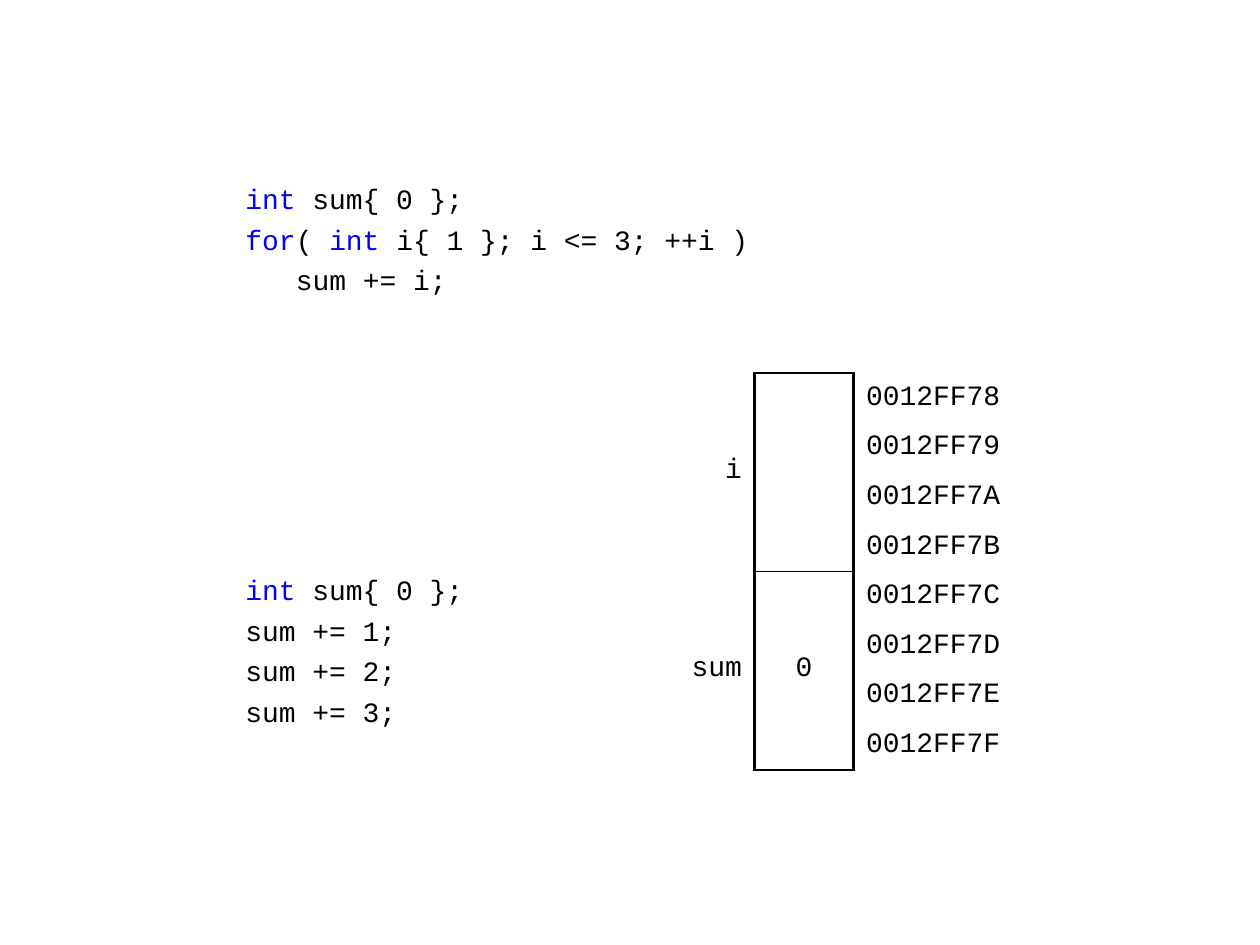
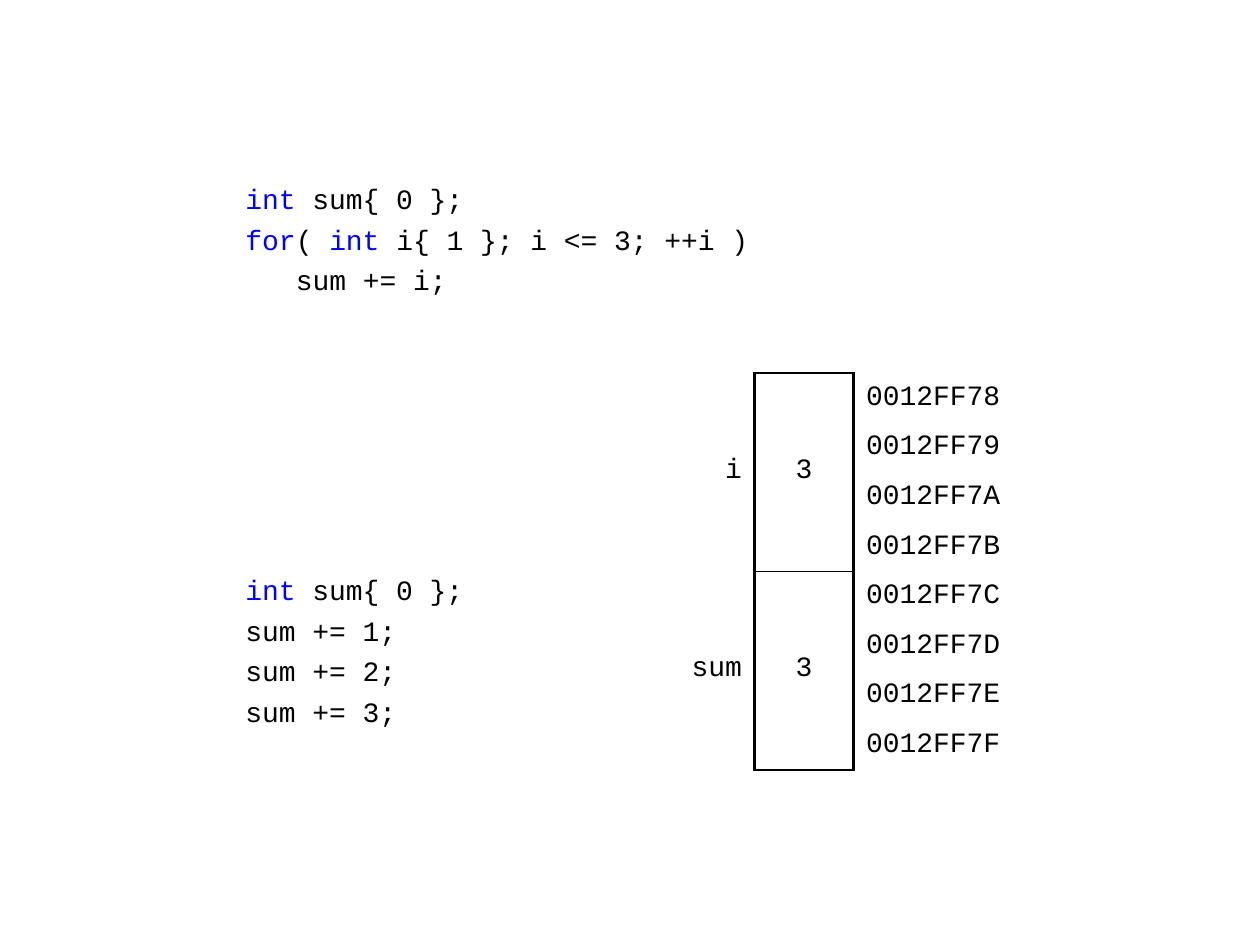
import pptx
import pptx.util
import pptx.dml.color
import pptx.enum.text
import pptx.oxml.ns
import lxml.etree

Pt = pptx.util.Pt
ALIGN = pptx.enum.text.PP_ALIGN
COLORS = {"keyword": "0000FF", "text": "000000", "border": "000000"}
FONT = "Courier New"
NO_STYLE = "{2D5ABB26-0587-4C30-8999-92F81FD0307C}"
LOOP_INDENT = 28.8
ROW_HEIGHT = 28.35
BYTES = 4
FIRST_ADDRESS = 0x0012FF78

code_blocks = [
    (100, [
        [("int", "keyword"), (" sum{ 0 };", "text")],
        [("for", "keyword"), ("( ", "text"), ("int", "keyword"), (" i{ 1 }; i <= 3; ++i )", "text")],
        [("sum += i;", "text")],
    ]),
    (323.4, [
        [("int", "keyword"), (" sum{ 0 };", "text")],
        [("sum += 1;", "text")],
        [("sum += 2;", "text")],
        [("sum += 3;", "text")],
    ]),
]
memory_states = [{"i": "", "sum": "0"}, {"i": "3", "sum": "3"}]


def write_line(paragraph, pieces, alignment=ALIGN.LEFT):
    paragraph.alignment = alignment
    paragraph.space_before = Pt(4.2)
    for text, color in pieces:
        run = paragraph.add_run()
        run.text = text
        run.font.name = FONT
        run.font.size = Pt(16)
        run.font.color.rgb = pptx.dml.color.RGBColor.from_string(COLORS[color])


def draw_borders(cell, widths):
    properties = cell._tc.get_or_add_tcPr()
    for position, (side, width) in enumerate(widths.items()):
        line = lxml.etree.Element(pptx.oxml.ns.qn("a:ln" + side), w=str(Pt(width)))
        fill = lxml.etree.SubElement(line, pptx.oxml.ns.qn("a:solidFill"))
        lxml.etree.SubElement(fill, pptx.oxml.ns.qn("a:srgbClr"), val=COLORS["border"])
        properties.insert(position, line)


presentation = pptx.Presentation()
presentation.slide_width = Pt(720)
presentation.slide_height = Pt(540)

for values in memory_states:
    slide = presentation.slides.add_slide(presentation.slide_layouts[6])

    for top, lines in code_blocks:
        code_box = slide.shapes.add_textbox(Pt(133.2), Pt(top), Pt(311.8), Pt(24 * len(lines)))
        text_frame = code_box.text_frame
        text_frame.word_wrap = True
        for index, pieces in enumerate(lines):
            paragraph = text_frame.add_paragraph() if index else text_frame.paragraphs[0]
            write_line(paragraph, pieces)
            if pieces[0][0] == "sum += i;":
                paragraph._p.get_or_add_pPr().set("marL", str(Pt(LOOP_INDENT)))

    row_count = BYTES * len(values)
    frame = slide.shapes.add_table(row_count, 3, Pt(374.4), Pt(213.1), Pt(212.8), Pt(ROW_HEIGHT * row_count))
    table = frame.table
    table.first_row = False
    table.horz_banding = False
    table._tbl.tblPr.find(pptx.oxml.ns.qn("a:tableStyleId")).text = NO_STYLE
    for column, width in zip(table.columns, (56.7, 56.7, 99.4)):
        column.width = Pt(width)

    for row_index, row in enumerate(table.rows):
        row.height = Pt(ROW_HEIGHT)
        for column_index, cell in enumerate(row.cells):
            is_address = column_index == 2
            cell.fill.background()
            cell.vertical_anchor = pptx.enum.text.MSO_ANCHOR.MIDDLE
            cell.margin_left = cell.margin_right = Pt(7.2)
            cell.margin_top = Pt(2.9 if is_address else 0)
            cell.margin_bottom = Pt(2.9 if is_address else 1.4)
        address = f"{FIRST_ADDRESS + row_index:08X}"
        write_line(table.cell(row_index, 2).text_frame.paragraphs[0], [(address, "text")])

    for variable_index, (name, value) in enumerate(values.items()):
        first = variable_index * BYTES
        last = first + BYTES - 1
        top_width = 1.5 if first == 0 else 1
        bottom_width = 1.5 if last == row_count - 1 else 1
        for row_index in range(first, last + 1):
            widths = {"L": 1.5, "R": 1.5}
            if row_index == first:
                widths["T"] = top_width
            if row_index in (first, last):
                widths["B"] = bottom_width
            draw_borders(table.cell(row_index, 0), {"R": 1.5})
            draw_borders(table.cell(row_index, 1), widths)
        for column_index, text, alignment in ((0, name, ALIGN.RIGHT), (1, value, ALIGN.CENTER)):
            cell = table.cell(first, column_index)
            cell.merge(table.cell(last, column_index))
            if text:
                write_line(cell.text_frame.paragraphs[0], [(text, "text")], alignment)

presentation.save("out.pptx")
